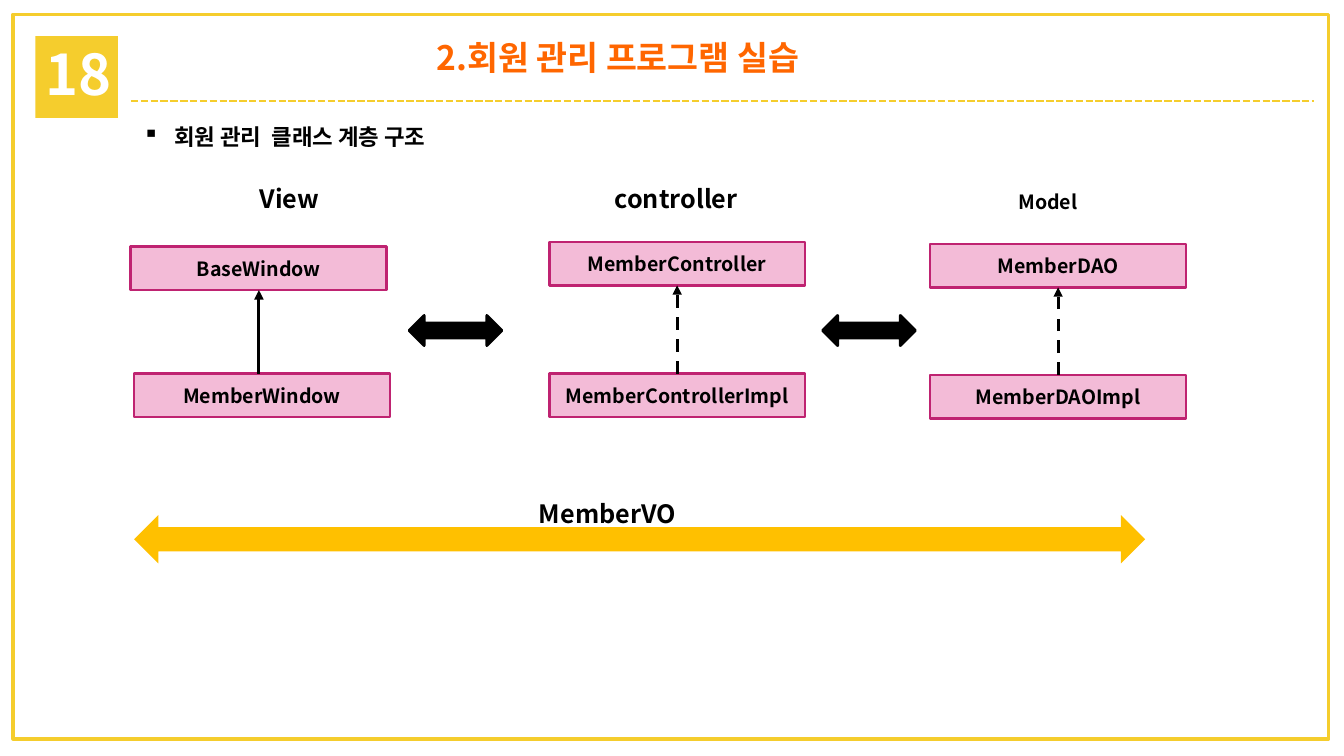
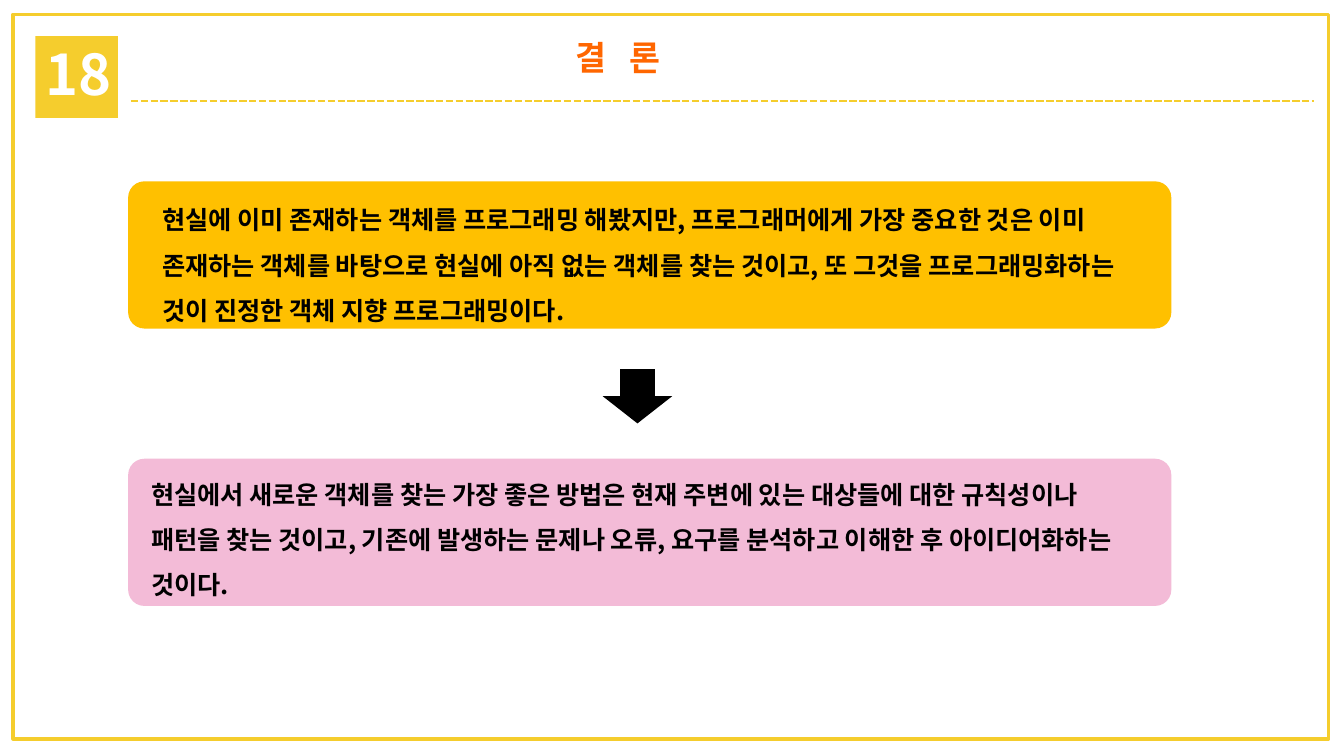
from lxml.etree import SubElement
from pptx import Presentation
from pptx.dml.color import RGBColor
from pptx.enum.dml import MSO_LINE_DASH_STYLE as DASH
from pptx.enum.shapes import MSO_CONNECTOR, MSO_SHAPE as SHAPE
from pptx.enum.text import MSO_ANCHOR as ANCHOR, PP_ALIGN as ALIGN
from pptx.oxml.ns import qn
from pptx.util import Cm, Pt

FONT = "Noto Sans CJK KR"
COLORS = {
    "yellow": "F5CD2D", "orange": "FF6600", "amber": "FFC000", "pink": "F3BBD7",
    "magenta": "BF2371", "black": "000000", "white": "FFFFFF",
}

CHAPTER = "18"
CLASS_TITLE = "2.회원 관리 프로그램 실습"
CLASS_HEADING = "회원 관리  클래스 계층 구조"
SHARED_CLASS = "MemberVO"
BOX_W, BOX_H, LABEL_W = 6.45, 1.09, 5.94
# Positions in cm: label (left, top, size), then the parent and child boxes (left, top)
LAYERS = [
    {"label": ("View", 4.32, 4.5, 18), "dash": None,
     "parent": ("BaseWindow", 3.3, 6.22), "child": ("MemberWindow", 3.38, 9.42)},
    {"label": ("controller", 14.07, 4.5, 18), "dash": DASH.DASH,
     "parent": ("MemberController", 13.84, 6.1), "child": ("MemberControllerImpl", 13.84, 9.42)},
    {"label": ("Model", 23.44, 4.65, 14), "dash": DASH.DASH,
     "parent": ("MemberDAO", 23.44, 6.15), "child": ("MemberDAOImpl", 23.44, 9.45)},
]
LAYER_LINKS = [10.31, 20.73]

END_TITLE = "결   론"
# Text, fill, top of the panel, then left, top and right insets
CONCLUSIONS = [
    ("현실에 이미 존재하는 객체를 프로그래밍 해봤지만, 프로그래머에게 가장 중요한 것은 이미 "
     "존재하는 객체를 바탕으로 현실에 아직 없는 객체를 찾는 것이고, 또 그것을 "
     "프로그래밍화하는 것이 진정한 객체 지향 프로그래밍이다.", "amber", 4.57, (0.74, 0.09, 0.74)),
    ("현실에서 새로운 객체를 찾는 가장 좋은 방법은 현재 주변에 있는 대상들에 대한 규칙성이나 "
     "패턴을 찾는 것이고, 기존에 발생하는 문제나 오류, 요구를 분석하고 이해한 후 "
     "아이디어화하는 것이다.", "pink", 11.56, (0.46, 0.01, 0.82)),
]


def rgb(name):
    return RGBColor.from_string(COLORS[name])


def write(sp, text, size, color="black", align=ALIGN.CENTER, anchor=ANCHOR.TOP,
          spacing=None, bullet=None):
    tf = sp.text_frame
    tf.word_wrap, tf.vertical_anchor = True, anchor
    p = tf.paragraphs[0]
    p.alignment, p.line_spacing = align, spacing
    if bullet:
        pPr = p._p.get_or_add_pPr()
        pPr.set("marL", str(Cm(0.79)))
        pPr.set("indent", str(-Cm(0.79)))
        SubElement(pPr, qn("a:buChar"), char=bullet)
    r = p.add_run()
    r.text = text
    r.font.name, r.font.size, r.font.bold = FONT, Pt(size), True
    r.font.color.rgb = rgb(color)
    SubElement(r._r.get_or_add_rPr(), qn("a:ea"), typeface=FONT)


def place(sp, x, y, w, h):
    sp.left, sp.top, sp.width, sp.height = Cm(x), Cm(y), Cm(w), Cm(h)


def add_text(s, text, x, y, w, h, size, **style):
    write(s.shapes.add_textbox(Cm(x), Cm(y), Cm(w), Cm(h)), text, size, **style)


def add_shape(s, kind, x, y, w, h, fill=None, line=None, width=2):
    sp = s.shapes.add_shape(kind, Cm(x), Cm(y), Cm(w), Cm(h))
    sp.shadow.inherit = False
    if fill:
        sp.fill.solid()
        sp.fill.fore_color.rgb = rgb(fill)
    else:
        sp.fill.background()
    if line:
        sp.line.color.rgb = rgb(line)
        sp.line.width = Pt(width)
    else:
        sp.line.fill.background()
    return sp


def add_line(s, x1, y1, x2, y2, color, width, dash=None, arrow=False):
    cn = s.shapes.add_connector(MSO_CONNECTOR.STRAIGHT, Cm(x1), Cm(y1), Cm(x2), Cm(y2))
    cn.line.color.rgb, cn.line.width = rgb(color), Pt(width)
    if dash:
        cn.line.dash_style = dash
    if arrow:
        SubElement(cn.line._get_or_add_ln(), qn("a:tailEnd"), type="triangle")
    SubElement(cn._element.spPr, qn("a:effectLst"))


def add_slide(prs, title):
    """Add a slide with the shared frame, chapter badge, title and dashed rule."""
    s = prs.slides.add_slide(prs.slide_layouts[5])
    place(s.shapes.title, 3.63, 0.81, 23.88, 1.27)
    write(s.shapes.title, title, 24, color="orange")
    add_shape(s, SHAPE.RECTANGLE, 0.33, 0.36, 33.15, 18.26, line="yellow", width=2.5)
    add_shape(s, SHAPE.RECTANGLE, 0.89, 0.91, 2.08, 2.06, fill="yellow")
    add_text(s, CHAPTER, 0.89, 0.86, 2.46, 1.96, 40, color="white", align=ALIGN.LEFT)
    add_line(s, 3.3, 2.54, 33.12, 2.54, "yellow", 1.75, DASH.SQUARE_DOT)
    return s


def add_layer(s, layer):
    name, x, y, size = layer["label"]
    add_text(s, name, x, y, LABEL_W, 1.02, size)
    for name, x, y in (layer["parent"], layer["child"]):
        box = add_shape(s, SHAPE.RECTANGLE, x, y, BOX_W, BOX_H, "pink", "magenta")
        write(box, name, 14, anchor=ANCHOR.MIDDLE)
    _, left, top = layer["parent"]
    middle = left + BOX_W / 2
    add_line(s, middle, layer["child"][2], middle, top + BOX_H, "black", 2.25,
             layer["dash"], arrow=True)


def add_class_slide(prs):
    s = add_slide(prs, CLASS_TITLE)
    add_text(s, CLASS_HEADING, 3.35, 2.97, 13.39, 0.94, 16, align=ALIGN.LEFT, bullet="▪")
    for layer in LAYERS:
        add_layer(s, layer)
    for x in LAYER_LINKS:
        add_shape(s, SHAPE.LEFT_RIGHT_ARROW, x, 7.95, 2.34, 0.76, "black", "black")
    add_shape(s, SHAPE.LEFT_RIGHT_ARROW, 3.38, 12.98, 25.48, 1.22, "amber")
    add_text(s, SHARED_CLASS, 12.34, 12.42, LABEL_W, 1.02, 18)


def add_conclusion_slide(prs):
    s = add_slide(prs, END_TITLE)
    for text, fill, y, (left, top, right) in CONCLUSIONS:
        panel = add_shape(s, SHAPE.ROUNDED_RECTANGLE, 3.23, y, 26.29, 3.71, fill)
        panel.adjustments[0] = 0.11
        tf = panel.text_frame
        tf.margin_left, tf.margin_top, tf.margin_right = Cm(left), Cm(top), Cm(right)
        tf.margin_bottom = 0
        write(panel, text, 18, align=ALIGN.LEFT, spacing=1.5)
    add_shape(s, SHAPE.DOWN_ARROW, 15.19, 9.3, 1.75, 1.37, "black")


def main():
    prs = Presentation()
    prs.slide_width, prs.slide_height = Cm(33.87), Cm(19.05)
    add_class_slide(prs)
    add_conclusion_slide(prs)
    prs.save("out.pptx")


if __name__ == "__main__":
    main()
